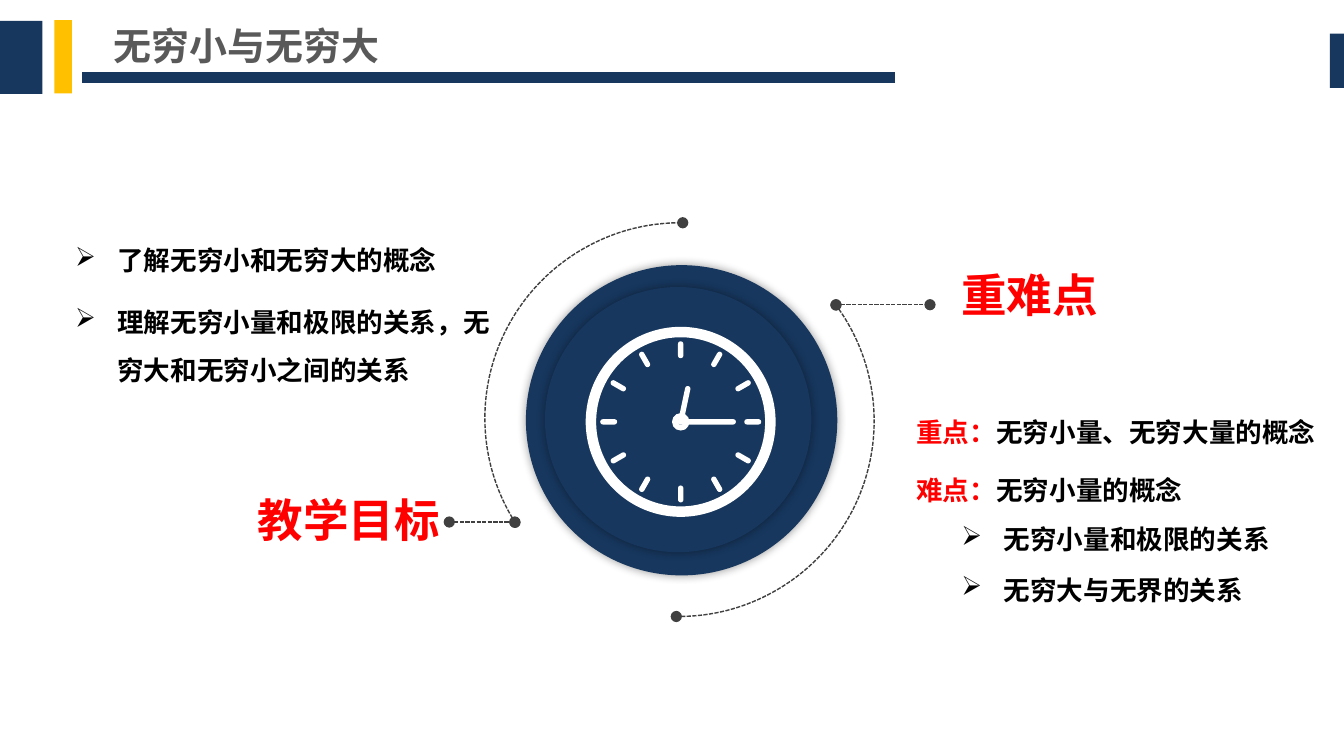
import math
import lxml.etree
import pptx
import pptx.dml.color
import pptx.enum.dml
import pptx.enum.shapes
import pptx.enum.text
import pptx.oxml.ns
import pptx.util

SHAPE = pptx.enum.shapes.MSO_SHAPE
ALIGN = pptx.enum.text.PP_ALIGN
rgb = pptx.dml.color.RGBColor.from_string
qn = pptx.oxml.ns.qn
NAVY, AMBER, RED, BLACK, WHITE = "17375E", "FFC000", "FF0000", "000000", "FFFFFF"
GREY, TITLE_GREY = "404040", "595959"
FONT = "Noto Sans CJK SC"

deck = pptx.Presentation()
deck.slide_width = pptx.util.Inches(9.84)
deck.slide_height = pptx.util.Inches(5.51)
slide = deck.slides.add_slide(deck.slide_layouts[6])
cell = deck.slide_width / 100


def add_block(kind, left, top, width, height, color=None):
    block = slide.shapes.add_shape(kind, *(round(n * cell) for n in (left, top, width, height)))
    block.shadow.inherit = False
    if color:
        block.fill.solid()
        block.fill.fore_color.rgb = rgb(color)
        block.line.fill.background()
    else:
        block.fill.background()
    return block


def add_line(start, end, row, color, width):
    line = slide.shapes.add_connector(
        pptx.enum.shapes.MSO_CONNECTOR.STRAIGHT, *(round(n * cell) for n in (start, row, end, row)))
    line.line.color.rgb = rgb(color)
    line.line.width = pptx.util.Pt(width)
    lxml.etree.SubElement(line.element.spPr, qn("a:effectLst"))
    return line


for left, top, width, height, color in [
    (0, 1.55, 3.15, 5.45, NAVY),
    (4.05, 1.5, 1.3, 5.45, AMBER),
    (98.95, 2.5, 1.05, 4.05, NAVY),
]:
    add_block(SHAPE.RECTANGLE, left, top, width, height, color)
add_line(66.6, 6.1, 5.75, NAVY, 6)

dotted = []
for left, top, start_angle, turn in [(36.08, 16.57, 88.73, 0), (35.87, 16.77, 86.23, 180)]:
    arc = add_block(SHAPE.ARC, left, top, 29.17, 29.07)
    arc.adjustments[0] = start_angle
    arc.adjustments[1] = 162.32
    arc.rotation = turn
    arc.line.color.rgb = rgb(GREY)
    arc.line.width = pptx.util.Pt(0.75)
    dotted.append(arc)
for start, end, row in [(62.2, 69.2, 22.66), (33.43, 38.3, 38.82)]:
    dotted.append(add_line(start, end, row, GREY, 0.75))
for leader in dotted:
    leader.line.dash_style = pptx.enum.dml.MSO_LINE.SQUARE_DOT
    outline = leader.element.spPr.find(qn("a:ln"))
    for end in ("a:headEnd", "a:tailEnd"):
        lxml.etree.SubElement(outline, qn(end), type="oval")

for left, top, width, height in [(39.13, 19.72, 23.17, 23.07), (40.55, 21.34, 19.82, 19.72)]:
    disc = add_block(SHAPE.OVAL, left, top, width, height, NAVY)
    glow = lxml.etree.SubElement(
        disc.element.spPr.find(qn("a:effectLst")), qn("a:outerShdw"),
        blurRad=str(pptx.util.Pt(5)), dist="0", dir="0", algn="ctr", rotWithShape="0")
    shade = lxml.etree.SubElement(glow, qn("a:srgbClr"), val=BLACK)
    lxml.etree.SubElement(shade, qn("a:alpha"), val="40000")

clock_x, clock_y = 50.65, 31.37
for diameter, thickness in [(14.13, 0.055), (1.3, 0.33)]:
    ring = add_block(SHAPE.DONUT, clock_x - diameter / 2, clock_y - diameter / 2,
                     diameter, diameter, WHITE)
    ring.adjustments[0] = thickness

ticks = [(30 * hour, 5.36, 1.26) for hour in range(12)]
hands = [(12, 1.27, 2.9), (90, 1.93, 4.35)]
for angle, radius, length in ticks + hands:
    x = clock_x + radius * math.sin(math.radians(angle))
    y = clock_y - radius * math.cos(math.radians(angle))
    bar = add_block(SHAPE.ROUNDED_RECTANGLE, x - 0.2, y - length / 2, 0.4, length, WHITE)
    bar.adjustments[0] = 0.5
    bar.rotation = angle

heading = {"size": 24, "inset": 0.7}
body = {"size": 14, "inset": 0.7, "spacing": 1.5}
bulleted = {**body, "bullet": "➢"}
passages = [
    (8.43, 1.63, 33.64, 3.46, {"size": 20, "inset": 0}, [("无穷小与无穷大", TITLE_GREY)]),
    (10.26, 36.18, 23.17, 4.88, {**heading, "align": ALIGN.RIGHT}, [("教学目标", RED)]),
    (70.83, 19.41, 23.17, 4.88, heading, [("重难点", RED)]),
    (4.88, 16.57, 33.54, 4.37, bulleted, [("了解无穷小和无穷大的概念", BLACK)]),
    (4.88, 21.14, 33.54, 7.93, bulleted,
     [("理解无穷小量和极限的关系，无穷大和无穷小之间的关系", BLACK)]),
    (67.48, 29.37, 33.54, 4.37, body, [("重点：", RED), ("无穷小量、无穷大量的概念", BLACK)]),
    (67.48, 33.64, 33.54, 4.37, body, [("难点：", RED), ("无穷小量的概念", BLACK)]),
    (70.83, 37.3, 33.54, 4.37, bulleted, [("无穷小量和极限的关系", BLACK)]),
    (70.83, 41.06, 33.54, 4.37, bulleted, [("无穷大与无界的关系", BLACK)]),
]
for left, top, width, height, style, pieces in passages:
    passage = slide.shapes.add_textbox(*(round(n * cell) for n in (left, top, width, height)))
    frame = passage.text_frame
    side, edge = round(style["inset"] * cell), round(style["inset"] * cell * 0.55)
    frame_format = {
        "word_wrap": True,
        "auto_size": pptx.enum.text.MSO_AUTO_SIZE.SHAPE_TO_FIT_TEXT,
        "vertical_anchor": pptx.enum.text.MSO_ANCHOR.MIDDLE,
        "margin_left": side, "margin_right": side,
        "margin_top": edge, "margin_bottom": edge,
    }
    for name, value in frame_format.items():
        setattr(frame, name, value)
    paragraph = frame.paragraphs[0]
    paragraph.alignment = style.get("align", ALIGN.LEFT)
    paragraph.line_spacing = style.get("spacing", 1.0)
    if "bullet" in style:
        properties = paragraph._p.get_or_add_pPr()
        indent = round(3.15 * cell)
        properties.set("marL", str(indent))
        properties.set("indent", str(-indent))
        lxml.etree.SubElement(properties, qn("a:buChar"), char=style["bullet"])
    for words, color in pieces:
        run = paragraph.add_run()
        run.text = words
        run_format = {"name": FONT, "size": pptx.util.Pt(style["size"]), "bold": True}
        for name, value in run_format.items():
            setattr(run.font, name, value)
        run.font.color.rgb = rgb(color)
        lxml.etree.SubElement(run._r.get_or_add_rPr(), qn("a:ea"), typeface=FONT)

deck.save("out.pptx")
